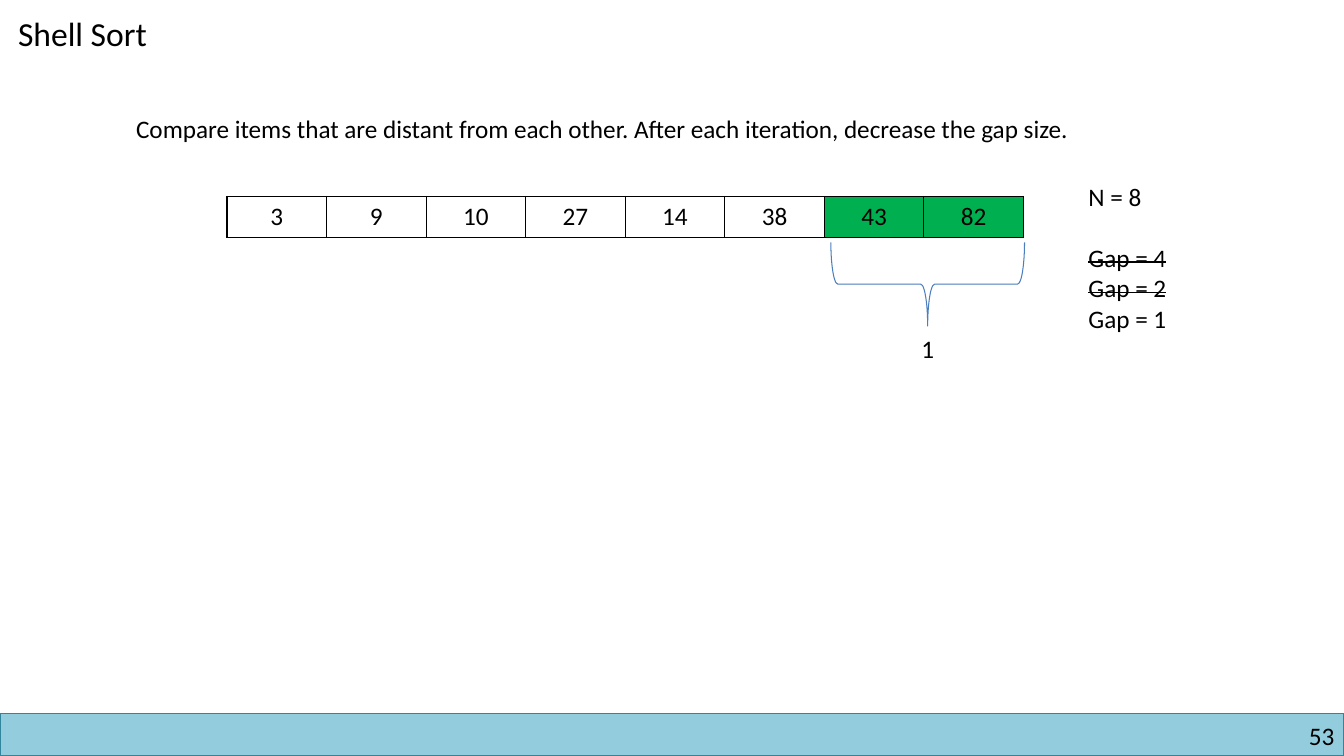
from lxml import etree
from pptx import Presentation
from pptx import util as u
from pptx.dml.color import RGBColor
from pptx.enum import shapes, text
from pptx.oxml.ns import qn

HEADING = "Shell Sort"
SUMMARY = "Compare items that are distant from each other. After each iteration, decrease the gap size."
ITEMS = [3, 9, 10, 27, 14, 38, 43, 82]
COMPARED = {6, 7}
STEPS = ["N = 8", "Gap = 4", "Gap = 2", "Gap = 1"]
FINISHED = {"Gap = 4", "Gap = 2"}
GAP = "1"
PAGE = "53"

FONT = "Calibri"
COLORS = {"ink": "000000", "cell": "FFFFFF", "compared": "00B050",
          "brace": "4B7EBC", "footer": "93CDDD", "footer_edge": "31859C"}
SLIDE_W, SLIDE_H = 33.87, 19.05
FOOTER_H = 1.07
ITEM_W, ITEM_H = 2.51, 1.04
ARRAY_LEFT, ARRAY_TOP = 5.72, 4.95
BRACE_DEPTH, BRACE_SPAN = 2.11, 4.88
BRACE_X, BRACE_Y = 23.38, 7.16


def color(name):
    return RGBColor.from_string(COLORS[name])


def box(left, top, width, height):
    return [u.Cm(length) for length in (left, top, width, height)]


def style(paragraph, size=18, align=text.PP_ALIGN.LEFT):
    paragraph.alignment = align
    for run in paragraph.runs:
        run.font.size = u.Pt(size)
        run.font.name = FONT
        run.font.color.rgb = color("ink")


def add_label(slide, lines, place, align=text.PP_ALIGN.LEFT):
    frame = slide.shapes.add_textbox(*box(*place)).text_frame
    frame.word_wrap = True
    frame.text = "\n".join(lines)
    for paragraph in frame.paragraphs:
        style(paragraph, align=align)
    return frame


def add_borders(cell):
    properties = cell._tc.get_or_add_tcPr()
    for side in ("lnL", "lnR", "lnT", "lnB"):
        edge = etree.SubElement(properties, qn(f"a:{side}"), w=str(u.Pt(1)))
        fill = etree.SubElement(edge, qn("a:solidFill"))
        etree.SubElement(fill, qn("a:srgbClr"), val=COLORS["ink"])


def add_heading(slide):
    heading = slide.shapes.title
    heading.left, heading.top, heading.width, heading.height = box(0.2, 0.2, 12, 1.28)
    frame = heading.text_frame
    frame.text = HEADING
    frame.auto_size = text.MSO_AUTO_SIZE.NONE
    frame.vertical_anchor = text.MSO_ANCHOR.TOP
    style(frame.paragraphs[0], size=24)


def add_footer(slide):
    footer = slide.shapes.add_shape(
        shapes.MSO_SHAPE.RECTANGLE, *box(0, SLIDE_H - FOOTER_H, SLIDE_W, FOOTER_H))
    footer.shadow.inherit = False
    footer.fill.solid()
    footer.fill.fore_color.rgb = color("footer")
    footer.line.color.rgb = color("footer_edge")
    footer.line.width = u.Pt(1)
    page = add_label(slide, [PAGE], (25.83, 18.16, 7.8, 0.76), text.PP_ALIGN.RIGHT)
    page.margin_left = page.margin_right = page.margin_top = page.margin_bottom = 0


def add_array(slide):
    place = box(ARRAY_LEFT, ARRAY_TOP, ITEM_W * len(ITEMS), ITEM_H)
    array = slide.shapes.add_table(1, len(ITEMS), *place).table
    for index, item in enumerate(ITEMS):
        array.columns[index].width = u.Cm(ITEM_W)
        cell = array.cell(0, index)
        cell.text = str(item)
        style(cell.text_frame.paragraphs[0], align=text.PP_ALIGN.CENTER)
        add_borders(cell)
        cell.fill.solid()
        cell.fill.fore_color.rgb = color("compared" if index in COMPARED else "cell")


def add_steps(slide):
    steps = add_label(slide, STEPS, (27.18, 4.45, 2.82, 4.11))
    steps.paragraphs[1].space_before = u.Pt(22)
    for paragraph in steps.paragraphs:
        if paragraph.text in FINISHED:
            paragraph.runs[0].font._element.set("strike", "sngStrike")


def add_gap(slide):
    brace = slide.shapes.add_shape(
        shapes.MSO_SHAPE.LEFT_BRACE,
        *box(BRACE_X - BRACE_DEPTH / 2, BRACE_Y - BRACE_SPAN / 2, BRACE_DEPTH, BRACE_SPAN))
    brace.rotation = 270
    brace.shadow.inherit = False
    brace.fill.background()
    brace.line.color.rgb = color("brace")
    brace.line.width = u.Pt(0.75)
    add_label(slide, [GAP], (BRACE_X - 0.5, 8.28, 1, 1.02), text.PP_ALIGN.CENTER)


def main():
    deck = Presentation()
    deck.slide_width, deck.slide_height = u.Cm(SLIDE_W), u.Cm(SLIDE_H)
    slide = deck.slides.add_slide(deck.slide_layouts.get_by_name("Title Only"))
    add_footer(slide)
    add_heading(slide)
    add_label(slide, [SUMMARY], (3.18, 2.74, 26.31, 1.02))
    add_array(slide)
    add_steps(slide)
    add_gap(slide)
    deck.save("out.pptx")


if __name__ == "__main__":
    main()
